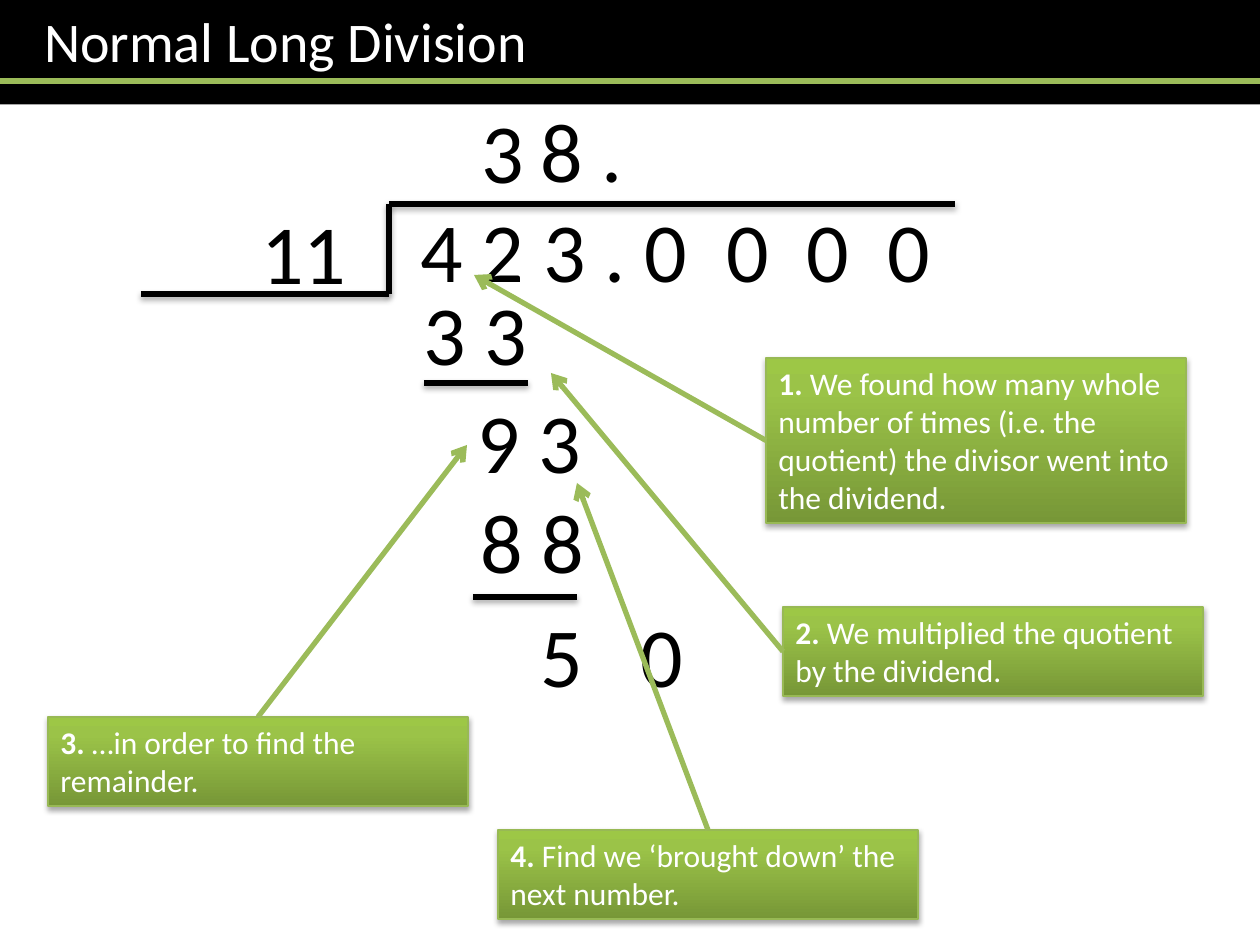
from lxml import etree
from pptx import Presentation
from pptx.dml.color import RGBColor
from pptx.enum.shapes import MSO_CONNECTOR, MSO_SHAPE
from pptx.enum.text import MSO_ANCHOR, MSO_AUTO_SIZE, PP_ALIGN
from pptx.oxml.ns import qn
from pptx.util import Emu, Pt

STRAIGHT = MSO_CONNECTOR.STRAIGHT
RECTANGLE = MSO_SHAPE.RECTANGLE
TOP = MSO_ANCHOR.TOP
GROW = MSO_AUTO_SIZE.SHAPE_TO_FIT_TEXT
LEFT = PP_ALIGN.LEFT

EMU_PER_PX = 914400 / 126
TOP_SIDE, LEFT_SIDE = 0, 1
DIGIT_HEIGHT = 115
CALLOUT_WIDTH = 420
COLOURS = {
    "black": "000000",
    "white": "FFFFFF",
    "green": "9BBB59",
    "border": "98B955",
}
CALLOUT_STOPS = [(0, "779737"), (80, "9BC348"), (100, "9DC746")]

WORKING = [
    ("4 2 3 . 0\t0\t0\t0", 408, 192, 546, (306, 386, 467)),
    ("11", 249, 194, 139, ()),
    ("3", 469, 93, 69, ()),
    ("3 3", 411, 275, 168, ()),
    ("9 3", 465, 383, 162, ()),
    ("8 .", 528, 92, 152, ()),
    ("8 8", 468, 483, 162, ()),
    ("5\t0", 528, 597, 238, (100,)),
]
RULES = [
    ((141, 294), (389, 294)),
    ((389, 294), (389, 204)),
    ((389, 204), (955, 204)),
    ((424, 383), (528, 383)),
    ((473, 597), (577, 597)),
]
CALLOUTS = [
    ("1. ", "We found how many whole number of times (i.e. the quotient) "
     "the divisor went into the dividend.", (766, 358), 165, LEFT_SIDE, (474, 275)),
    ("2. ", "We multiplied the quotient by the dividend.",
     (783, 607), 89, LEFT_SIDE, (551, 373)),
    ("3. ", "…in order to find the remainder.",
     (48, 717), 89, TOP_SIDE, (467, 445)),
    ("4. ", "Find we ‘brought down’ the next number.",
     (498, 830), 89, TOP_SIDE, (577, 483)),
]


def px(length):
    return Emu(round(length * EMU_PER_PX))


def colour(name):
    return RGBColor.from_string(COLOURS[name])


def apply(target, values):
    for name, value in values.items():
        setattr(target, name, value)


def format_frame(frame, **values):
    apply(frame, {"word_wrap": True, "auto_size": GROW,
                  "vertical_anchor": TOP, **values})


def add_run(paragraph, text, size, colour_name, bold=False):
    run = paragraph.add_run()
    run.text = text
    apply(run.font, {"name": "Calibri", "size": Pt(size), "bold": bold})
    run.font.color.rgb = colour(colour_name)


def add_shadow(effects):
    shadow = etree.SubElement(effects, qn("a:outerShdw"), blurRad="40000",
                              dist="23000", dir="5400000", rotWithShape="0")
    black = etree.SubElement(shadow, qn("a:srgbClr"), val=COLOURS["black"])
    etree.SubElement(black, qn("a:alpha"), val="35000")


def add_line(shapes, start, end, colour_name, shadow=False, arrow=False):
    connector = shapes.add_connector(STRAIGHT, *map(px, start + end))
    connector.line.width = Pt(3)
    connector.line.color.rgb = colour(colour_name)
    properties = connector._element.spPr
    if arrow:
        etree.SubElement(properties.find(qn("a:ln")), qn("a:tailEnd"), type="arrow")
    effects = etree.SubElement(properties, qn("a:effectLst"))
    if shadow:
        add_shadow(effects)
    return connector


def add_tabs(paragraph, positions):
    tabs = etree.SubElement(paragraph._p.get_or_add_pPr(), qn("a:tabLst"))
    for position in positions:
        etree.SubElement(tabs, qn("a:tab"), pos=str(px(position)), algn="l")


def add_digits(shapes, text, left, top, width, tab_positions):
    box = shapes.add_textbox(px(left), px(top), px(width), px(DIGIT_HEIGHT))
    format_frame(box.text_frame)
    paragraph = box.text_frame.paragraphs[0]
    if tab_positions:
        add_tabs(paragraph, tab_positions)
    add_run(paragraph, text, 48, "black")


def fill_gradient(shape):
    shape.fill.gradient()
    shape.fill.gradient_angle = 90
    stops = shape._element.spPr.find(qn("a:gradFill")).find(qn("a:gsLst"))
    for stop in list(stops):
        stops.remove(stop)
    for percent, value in CALLOUT_STOPS:
        stop = etree.SubElement(stops, qn("a:gs"), pos=str(percent * 1000))
        etree.SubElement(stop, qn("a:srgbClr"), val=value)


def add_callout(slide, number, text, position, height, side, target):
    shapes = slide.shapes.add_group_shape().shapes
    box = shapes.add_shape(RECTANGLE, *map(px, position), px(CALLOUT_WIDTH), px(height))
    fill_gradient(box)
    box.line.width = Pt(0.75)
    box.line.color.rgb = colour("border")
    box.shadow.inherit = False
    add_shadow(box._element.spPr.find(qn("a:effectLst")))
    format_frame(box.text_frame)
    paragraph = box.text_frame.paragraphs[0]
    paragraph.alignment = LEFT
    add_run(paragraph, number, 18, "white", bold=True)
    add_run(paragraph, text, 18, "white")
    left, top = position
    start = {TOP_SIDE: (left + CALLOUT_WIDTH / 2, top),
             LEFT_SIDE: (left, top + height / 2)}[side]
    arrow = add_line(shapes, start, target, "green", arrow=True)
    arrow.begin_connect(box, side)


def set_title(slide, text):
    title = slide.shapes.title
    apply(title, {"left": 0, "top": 0, "width": px(1260), "height": px(83)})
    title.fill.solid()
    title.fill.fore_color.rgb = colour("black")
    format_frame(title.text_frame, margin_left=px(44), margin_right=px(13),
                 margin_top=px(6), margin_bottom=px(6))
    paragraph = title.text_frame.paragraphs[0]
    paragraph.alignment = LEFT
    add_run(paragraph, text, 32, "white")
    add_line(slide.shapes, (0, 81), (1260, 81), "green")


def main():
    presentation = Presentation()
    apply(presentation, {"slide_width": px(1260), "slide_height": px(945)})
    slide = presentation.slides.add_slide(presentation.slide_layouts[5])
    set_title(slide, "Normal Long Division")
    for start, end in RULES:
        add_line(slide.shapes, start, end, "black", shadow=True)
    for digits in WORKING:
        add_digits(slide.shapes, *digits)
    for callout in CALLOUTS:
        add_callout(slide, *callout)
    presentation.save("out.pptx")


if __name__ == "__main__":
    main()
